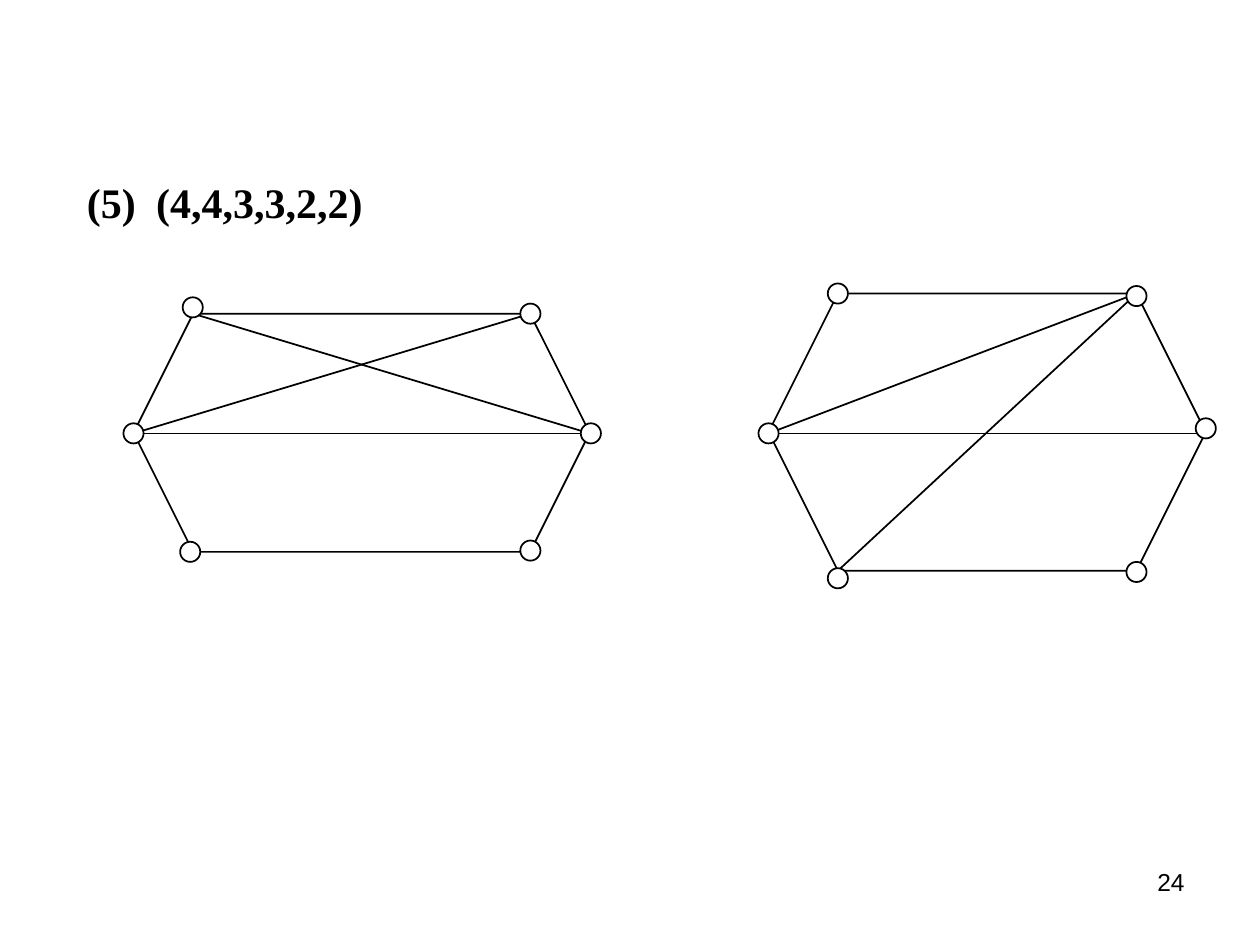
from lxml import etree
from pptx import Presentation
from pptx.dml.color import RGBColor
from pptx.enum.shapes import MSO_CONNECTOR, MSO_SHAPE
from pptx.enum.text import MSO_ANCHOR, MSO_AUTO_SIZE, PP_ALIGN
from pptx.oxml.ns import qn
from pptx.util import Inches, Pt

LINE = MSO_CONNECTOR.STRAIGHT
HEXAGON = MSO_SHAPE.HEXAGON
OVAL = MSO_SHAPE.OVAL
TOP = MSO_ANCHOR.TOP
NO_FIT = MSO_AUTO_SIZE.NONE
RIGHT = PP_ALIGN.RIGHT

COLORS = {"ink": "000000", "node": "FFFFFF"}
DOT = 0.16
SLANT = 0.25  # hexagon corner inset as a share of its shorter side


def color(name):
    return RGBColor.from_string(COLORS[name])


def style_line(item):
    item.line.color.rgb = color("ink")
    item.line.width = Pt(1)


def style_text(par, font, size, bold=False):
    for run in par.runs:
        run.font.name = font
        run.font.size = Pt(size)
        run.font.bold = bold
        run.font.color.rgb = color("ink")


def add_shape(slide, kind, left, top, width, height, fill=None):
    shape = slide.shapes.add_shape(
        kind, Inches(left), Inches(top), Inches(width), Inches(height))
    shape.shadow.inherit = False
    if fill:
        shape.fill.solid()
        shape.fill.fore_color.rgb = color(fill)
    else:
        shape.fill.background()
    style_line(shape)


def add_edge(slide, start, end):
    edge = slide.shapes.add_connector(LINE, *map(Inches, start + end))
    style_line(edge)
    props = edge._element.find(qn("p:spPr"))
    etree.SubElement(props, qn("a:effectLst"))


def add_graph(slide, box, chords, nodes):
    """Draw a hexagon, chords between its named corners, and node centres."""
    left, top, width, height = box
    right, low = left + width, top + height
    inset = SLANT * min(width, height)
    corners = {
        "W": (left, 3.44), "E": (right, 3.44),
        "NW": (left + inset, top), "NE": (right - inset, top),
        "SW": (left + inset, low), "SE": (right - inset, low),
    }
    add_shape(slide, HEXAGON, *box)
    for start, end in chords:
        add_edge(slide, corners[start], corners[end])
    for x, y in nodes:
        add_shape(slide, OVAL, x - DOT / 2, y - DOT / 2, DOT, DOT, "node")


def add_heading(slide, text):
    body = slide.placeholders[1]
    body.left, body.top = Inches(0.51), Inches(1.31)
    body.width, body.height = Inches(9), Inches(4.95)
    frame = body.text_frame
    frame.text = text
    frame.auto_size = NO_FIT
    frame.vertical_anchor = TOP
    frame.margin_top = Inches(0.09)
    par = frame.paragraphs[0]
    props = par._p.get_or_add_pPr()
    props.set("marL", str(Inches(0.63)))
    props.set("indent", str(Inches(-0.55)))
    etree.SubElement(props, qn("a:buNone"))
    par.space_before = Pt(0)
    style_text(par, "Times New Roman", 24, bold=True)


def add_number(slide, text):
    box = slide.shapes.add_textbox(
        Inches(7.17), Inches(6.83), Inches(2.33), Inches(0.52))
    box.text_frame.word_wrap = True
    par = box.text_frame.paragraphs[0]
    par.text = text
    par.alignment = RIGHT
    style_text(par, "Arial", 14)


def main():
    deck = Presentation()
    deck.slide_width, deck.slide_height = Inches(10), Inches(7.5)
    slide = deck.slides.add_slide(deck.slide_layouts[1])
    title = slide.shapes.title._element
    title.getparent().remove(title)

    add_heading(slide, "(5)\t(4,4,3,3,2,2)")
    add_number(slide, "24")
    add_graph(
        slide, (1.06, 2.49, 3.62, 1.89),
        [("W", "E"), ("W", "NE"), ("NW", "E")],
        [(4.21, 2.49), (4.69, 3.44), (4.21, 4.37),
         (1.51, 4.38), (1.06, 3.44), (1.53, 2.44)])
    add_graph(
        slide, (6.1, 2.33, 3.47, 2.2),
        [("W", "E"), ("NE", "SW"), ("W", "NE")],
        [(6.1, 3.44), (9.57, 3.4), (9.02, 2.35),
         (9.02, 4.54), (6.65, 4.59), (6.65, 2.33)])
    deck.save("out.pptx")


if __name__ == "__main__":
    main()
